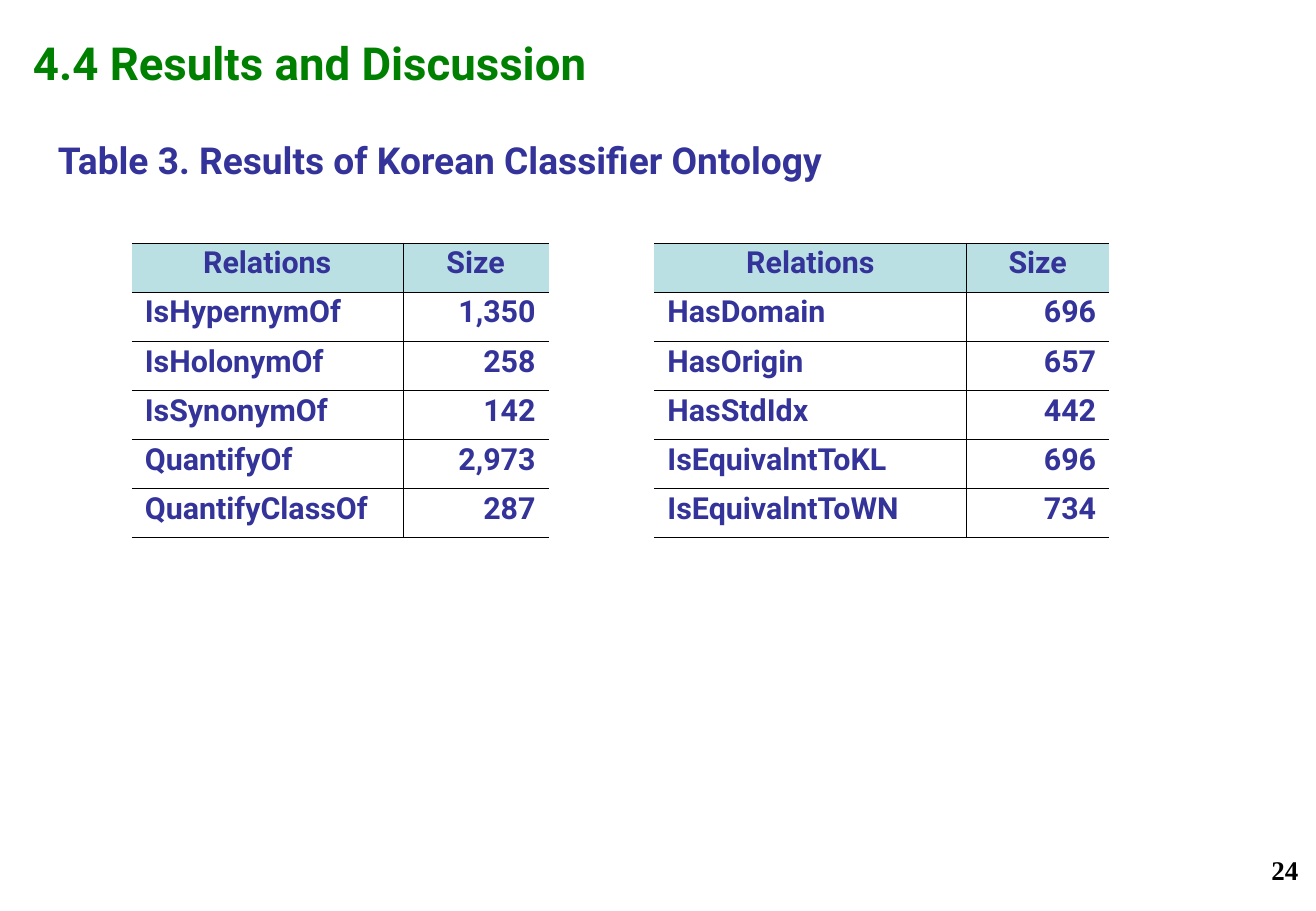
from dataclasses import dataclass

import pptx
import pptx.dml.color
import pptx.enum.text
import pptx.oxml
import pptx.oxml.ns
import pptx.util

PX = 15040  # EMU per px
COLORS = {
    "heading": "008000",
    "body": "333399",
    "header_fill": "BBE0E3",
    "ink": "000000",
}
ALIGN = pptx.enum.text.PP_ALIGN
ANCHOR = pptx.enum.text.MSO_ANCHOR
ROBOTO = "Roboto"
HEADER = ("Relations", "Size")
TABLE_TOP, TABLE_HEIGHT = 243, 295
BORDER_WIDTH = pptx.util.Pt(0.45)


@dataclass
class Label:
    text: str
    left: int
    top: int
    width: int
    height: int
    size: int
    color: str
    font: str = ROBOTO
    align: ALIGN = ALIGN.LEFT
    anchor: ANCHOR = ANCHOR.TOP


@dataclass
class RelationTable:
    left: int
    widths: tuple[int, int]
    rows: list[tuple[str, str]]


LABELS = [
    Label("4.4 Results and Discussion", 21, 27, 1266, 71, 54, "heading",
          anchor=ANCHOR.MIDDLE),
    Label("Table 3. Results of Korean Classifier Ontology", 46, 132, 1114, 683,
          44, "body"),
    Label("24", 1250, 848, 72, 41, 32, "ink", "Times New Roman", ALIGN.CENTER),
]

TABLES = [
    RelationTable(132, (271, 146), [
        ("IsHypernymOf", "1,350"),
        ("IsHolonymOf", "258"),
        ("IsSynonymOf", "142"),
        ("QuantifyOf", "2,973"),
        ("QuantifyClassOf", "287"),
    ]),
    RelationTable(655, (312, 143), [
        ("HasDomain", "696"),
        ("HasOrigin", "657"),
        ("HasStdIdx", "442"),
        ("IsEquivalntToKL", "696"),
        ("IsEquivalntToWN", "734"),
    ]),
]


def px(length: int) -> pptx.util.Emu:
    return pptx.util.Emu(length * PX)


def write_text(frame, text: str, size: int, color: str, font: str, align: ALIGN) -> None:
    frame.text = text
    para = frame.paragraphs[0]
    para.alignment = align
    for span in para.runs:
        span.font.size = pptx.util.Pt(size)
        span.font.name = font
        span.font.bold = True
        span.font.color.rgb = pptx.dml.color.RGBColor.from_string(COLORS[color])


def draw_label(page, label: Label) -> None:
    box = page.shapes.add_textbox(
        px(label.left), px(label.top), px(label.width), px(label.height))
    frame = box.text_frame
    frame.word_wrap = True
    frame.vertical_anchor = label.anchor
    frame.margin_left = frame.margin_right = px(12)
    frame.margin_top = frame.margin_bottom = px(6)
    write_text(frame, label.text, label.size, label.color, label.font, label.align)


def set_borders(cell, drawn: str) -> None:
    """Rule the sides named in drawn (from LRTB) and clear the others."""
    properties = cell._tc.get_or_add_tcPr()
    for side in "LRTB":
        paint = "<a:noFill/>"
        if side in drawn:
            paint = f'<a:solidFill><a:srgbClr val="{COLORS["ink"]}"/></a:solidFill>'
        properties.append(pptx.oxml.parse_xml(
            f'<a:ln{side} {pptx.oxml.ns.nsdecls("a")} w="{BORDER_WIDTH}">{paint}</a:ln{side}>'))


def fill_header(cell) -> None:
    cell.fill.solid()
    cell.fill.fore_color.rgb = pptx.dml.color.RGBColor.from_string(COLORS["header_fill"])
    color = cell._tc.tcPr.find(".//" + pptx.oxml.ns.qn("a:srgbClr"))
    color.append(pptx.oxml.parse_xml(
        f'<a:alpha {pptx.oxml.ns.nsdecls("a")} val="50000"/>'))


def draw_table(page, spec_table: RelationTable) -> None:
    rows = [HEADER, *spec_table.rows]
    table = page.shapes.add_table(
        len(rows), len(HEADER), px(spec_table.left), px(TABLE_TOP),
        px(sum(spec_table.widths)), px(TABLE_HEIGHT)).table
    table.first_row = table.horz_banding = False
    for column, width in zip(table.columns, spec_table.widths):
        column.width = px(width)
    for row_index, row in enumerate(rows):
        for column_index, text in enumerate(row):
            cell = table.cell(row_index, column_index)
            cell.margin_left = cell.margin_right = px(13)
            cell.margin_top = cell.margin_bottom = px(3)
            set_borders(cell, ("RTB", "LTB")[column_index])
            if row_index == 0:
                fill_header(cell)
                align = ALIGN.CENTER
            else:
                cell.fill.background()
                align = (ALIGN.LEFT, ALIGN.RIGHT)[column_index]
            write_text(cell.text_frame, text, 36, "body", ROBOTO, align)


def main() -> None:
    deck = pptx.Presentation()
    deck.slide_width, deck.slide_height = px(1317), px(912)
    page = deck.slides.add_slide(deck.slide_layouts[6])

    # Heading, caption and page number
    for label in LABELS:
        draw_label(page, label)

    # Relation tables side by side
    for relation_table in TABLES:
        draw_table(page, relation_table)

    deck.save("out.pptx")


if __name__ == "__main__":
    main()
